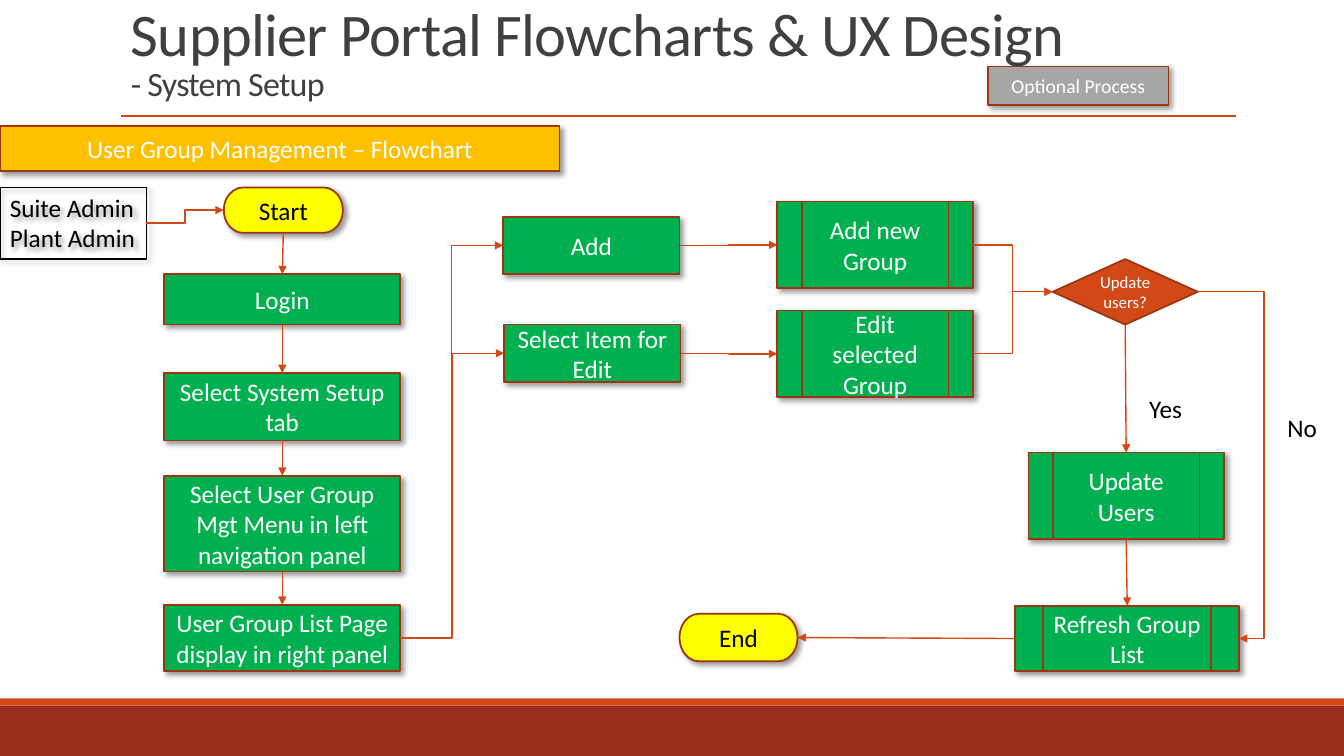
from itertools import cycle

from lxml import etree
from pptx import Presentation
from pptx.dml.color import RGBColor
from pptx.enum.shapes import MSO_CONNECTOR, MSO_SHAPE
from pptx.enum.text import MSO_ANCHOR, PP_ALIGN
from pptx.oxml.ns import qn
from pptx.util import Inches, Pt

RECT, STEP, SUB = MSO_SHAPE.RECTANGLE, MSO_SHAPE.FLOWCHART_PROCESS, MSO_SHAPE.FLOWCHART_PREDEFINED_PROCESS
PILL, ASK = MSO_SHAPE.FLOWCHART_TERMINATOR, MSO_SHAPE.FLOWCHART_DECISION
ELBOW, LINE = MSO_CONNECTOR.ELBOW, MSO_CONNECTOR.STRAIGHT
LEFT, CENTER = PP_ALIGN.LEFT, PP_ALIGN.CENTER
TOP, MIDDLE, BOTTOM = MSO_ANCHOR.TOP, MSO_ANCHOR.MIDDLE, MSO_ANCHOR.BOTTOM
NORTH, WEST, SOUTH, EAST = range(4)

COLORS = {
    "brick": "9B2D1F", "orange": "D34817", "edge": "9C3511", "gold": "FFC000",
    "yellow": "FFFF00", "green": "00B050", "gray": "A6A6A6", "title": "404040",
    "white": "FFFFFF", "black": "000000",
}
TITLE = "Supplier Portal Flowcharts & UX Design\n- System Setup"
BANDS = [("brick", 7, 0.5), ("orange", 6.93, 0.07)]
NODES = {
    "banner": (RECT, "gold", (0, 1.25, 5.55, 0.45), "User Group Management – Flowchart"),
    "start": (PILL, "yellow", (2.22, 1.86, 1.18, 0.45), "Start"),
    "login": (STEP, "green", (1.63, 2.72, 2.34, 0.5), "Login"),
    "setup": (STEP, "green", (1.63, 3.7, 2.34, 0.67), "Select System Setup tab"),
    "menu": (STEP, "green", (1.63, 4.72, 2.34, 0.95), "Select User Group Mgt Menu in left navigation panel"),
    "list": (STEP, "green", (1.63, 6, 2.34, 0.66), "User Group List Page display in right panel"),
    "admin": (RECT, None, (0, 1.86, 1.45, 0.71), "Suite Admin\nPlant Admin"),
    "add": (STEP, "green", (4.99, 2.15, 1.75, 0.57), "Add"),
    "select": (STEP, "green", (5, 3.22, 1.75, 0.57), "Select Item for Edit"),
    "new": (SUB, "green", (7.71, 2, 1.94, 0.86), "Add new Group"),
    "edit": (SUB, "green", (7.71, 3.08, 1.94, 0.86), "Edit selected Group"),
    "refresh": (SUB, "green", (10.07, 6.01, 2.22, 0.65), "Refresh Group List"),
    "end": (PILL, "yellow", (6.74, 6.09, 1.17, 0.47), "End"),
    "option": (STEP, "gray", (9.8, 0.66, 1.79, 0.38), "Optional Process"),
    "update": (SUB, "green", (10.2, 4.49, 1.94, 0.86), "Update Users"),
    "ask": (ASK, "orange", (10.44, 2.57, 1.44, 0.65), "Update users?"),
}
SIZES = {"option": 14, "ask": 12}
LINKS = [
    (ELBOW, "admin", EAST, "start", WEST),
    (LINE, "start", SOUTH, "login", NORTH),
    (LINE, "login", SOUTH, "setup", NORTH),
    (LINE, "setup", SOUTH, "menu", NORTH),
    (LINE, "menu", SOUTH, "list", NORTH),
    (ELBOW, "list", EAST, "add", WEST),
    (ELBOW, "list", EAST, "select", WEST),
    (ELBOW, "add", EAST, "new", WEST),
    (ELBOW, "select", EAST, "edit", WEST),
    (ELBOW, "new", EAST, "ask", WEST),
    (ELBOW, "edit", EAST, "ask", WEST),
    (LINE, "ask", SOUTH, "update", NORTH),
    (LINE, "update", SOUTH, "refresh", NORTH),
    (ELBOW, "ask", EAST, "refresh", EAST),
    (LINE, "refresh", WEST, "end", EAST),
]
DETOUR = 160500
LABELS = [("Yes", (11.3, 3.85, 0.53, 0.4)), ("No", (12.67, 4.04, 0.5, 0.4))]


def rgb(name):
    """Return the named colour."""
    return RGBColor.from_string(COLORS[name])


def add(parent, tag, **attrs):
    """Append a drawing element and return it."""
    return etree.SubElement(parent, qn(tag), {k: str(v) for k, v in attrs.items()})


def write(shape, text, sizes=(18,), color="black", align=LEFT, anchor=TOP, wrap=True, pitch=None, track=None):
    """Fill a shape with one paragraph per line of text."""
    frame = shape.text_frame
    frame.text = text
    frame.word_wrap = wrap
    frame.vertical_anchor = anchor
    for para, size in zip(frame.paragraphs, cycle(sizes)):
        para.alignment = align
        para.line_spacing = pitch
        font = para.runs[0].font
        font.name, font.size = "Calibri", Pt(size)
        font.color.rgb = rgb(color)
        if track:
            para.runs[0]._r.get_or_add_rPr().set("spc", str(track))


def box(slide, kind, place, fill, edge=None, width=1.25):
    """Draw a preset shape without a shadow."""
    shape = slide.shapes.add_shape(kind, *map(Inches, place))
    shape.shadow.inherit = False
    if fill:
        shape.fill.solid()
        shape.fill.fore_color.rgb = rgb(fill)
    else:
        shape.fill.background()
    if edge:
        shape.line.color.rgb = rgb(edge)
        shape.line.width = Pt(width)
    else:
        shape.line.fill.background()
    return shape


def shade(shape):
    """Give a shape a soft shadow to the lower right."""
    glow = add(shape._element.spPr.find(qn("a:effectLst")), "a:outerShdw", blurRad=Pt(4),
               dist=Pt(3), dir=45 * 60000, algn="tl", rotWithShape=0)
    add(add(glow, "a:srgbClr", val=COLORS["black"]), "a:alpha", val=40000)


def line(slide, kind, ends=(0, 0, 0, 0)):
    """Draw a plain orange line."""
    link = slide.shapes.add_connector(kind, *map(Inches, ends))
    link.line.color.rgb = rgb("orange")
    link.line.width = Pt(1)
    add(link._element.spPr, "a:effectLst")
    return link


def node(slide, name):
    """Draw one named step of the flow."""
    kind, fill, place, text = NODES[name]
    plain = fill is None
    shape = box(slide, kind, place, fill, "black" if plain else "edge", 0.75 if plain else 1.25)
    if kind != ASK:
        shade(shape)
    write(shape, text, sizes=(SIZES.get(name, 18),),
          color="black" if plain or kind == PILL else "white",
          align=LEFT if plain else CENTER, anchor=TOP if plain else MIDDLE, wrap=not plain)
    return shape


def join(slide, nodes, kind, source, out, target, into):
    """Link two steps with an arrow."""
    link = line(slide, kind)
    link.begin_connect(nodes[source], out)
    link.end_connect(nodes[target], into)
    add(link.line._get_or_add_ln(), "a:tailEnd", type="triangle")
    if out == into:
        guides = link._element.spPr.find(qn("a:prstGeom")).get_or_add_avLst()
        add(guides, "a:gd", name="adj1", fmla=f"val {DETOUR}")


def main():
    """Build the slide and save it."""
    deck = Presentation()
    deck.slide_width, deck.slide_height = Inches(13.33), Inches(7.5)
    slide = deck.slides.add_slide(deck.slide_layouts[6])
    for fill, top, height in BANDS:
        box(slide, RECT, (0, top, 13.33, height), fill)
    line(slide, LINE, (1.2, 1.15, 12.26, 1.15))
    title = slide.shapes.add_textbox(*map(Inches, (1.2, 0.27, 11, 0.81)))
    write(title, TITLE, sizes=(43.2, 24.3), color="title", anchor=BOTTOM, pitch=0.85, track=-50)
    nodes = {name: node(slide, name) for name in NODES}
    for link in LINKS:
        join(slide, nodes, *link)
    for text, place in LABELS:
        write(slide.shapes.add_textbox(*map(Inches, place)), text, wrap=False)
    deck.save("out.pptx")


if __name__ == "__main__":
    main()
